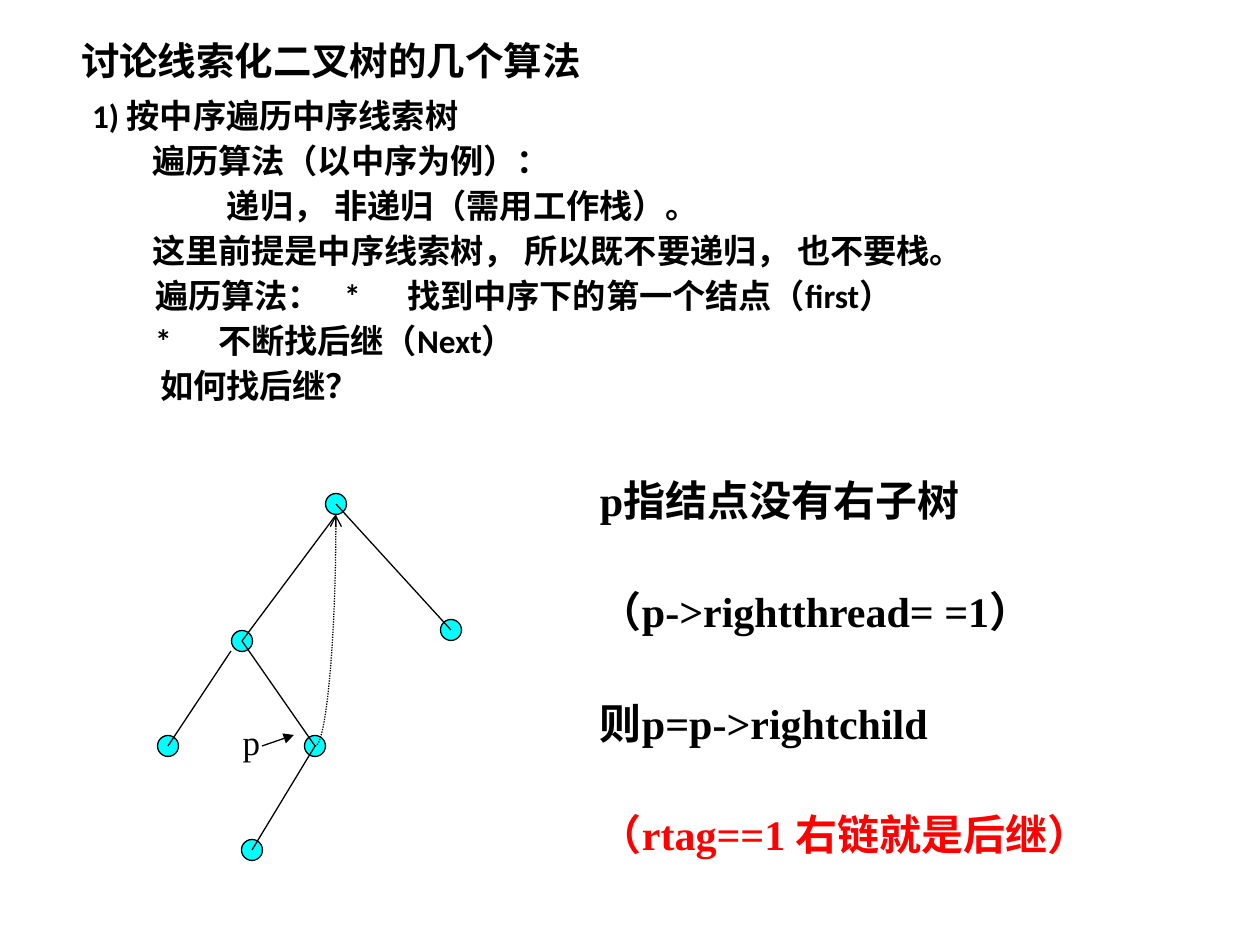
import lxml.etree
import pptx
import pptx.dml.color
import pptx.enum.dml
import pptx.enum.shapes
import pptx.enum.text
import pptx.oxml.ns
import pptx.util

EMU_PER_PX = 914400 / 126
BLACK, CYAN, RED = "000000", "00FFFF", "FF0000"


def px(value):
    """Turn a length in px into EMU."""
    return pptx.util.Emu(round(value * EMU_PER_PX))


def color(value):
    """Turn a hex string into a colour."""
    return pptx.dml.color.RGBColor.from_string(value)


def add_child(parent, tag, **attributes):
    """Append a DrawingML element to a parent element."""
    child = lxml.etree.SubElement(parent, pptx.oxml.ns.qn(tag))
    for name, value in attributes.items():
        child.set(name, str(value))
    return child


def write(paragraph, text, font="Calibri", size=19, bold=True, fill=BLACK, align="LEFT",
          indent=0, tabs=(), spacing=None, before=0):
    """Write formatted text into a paragraph."""
    paragraph.alignment = getattr(pptx.enum.text.PP_ALIGN, align)
    paragraph.space_before = pptx.util.Pt(before)
    if spacing:
        paragraph.line_spacing = pptx.util.Pt(spacing)
    properties = paragraph._p.get_or_add_pPr()
    properties.set("marL", str(px(indent)))
    properties.set("indent", "0")
    if tabs:
        tab_list = add_child(properties, "a:tabLst")
        for position in tabs:
            add_child(tab_list, "a:tab", pos=px(position), algn="l")
    run = paragraph.add_run()
    run.text = text
    run.font.name = font
    run.font.size = pptx.util.Pt(size)
    run.font.bold = bold
    run.font.color.rgb = color(fill)


class SlideBuilder:
    """Hold the drawing style and the current slide."""

    def __init__(self, slide, line_color=BLACK, line_width=0.75, node_size=21):
        """Keep the slide and its style."""
        self.slide = slide
        self.shapes = slide.shapes
        self.line_color = line_color
        self.line_width = line_width
        self.node_size = node_size

    def frame(self, shape, anchor="TOP", wrap=True):
        """Prepare a text frame without insets."""
        frame = shape.text_frame
        frame.margin_left = frame.margin_right = frame.margin_top = frame.margin_bottom = 0
        frame.word_wrap = wrap
        frame.auto_size = pptx.enum.text.MSO_AUTO_SIZE.NONE
        frame.vertical_anchor = getattr(pptx.enum.text.MSO_ANCHOR, anchor)
        return frame

    def title(self, text, left, top, width, height):
        """Place and fill the title."""
        shape = self.shapes.title
        shape.left, shape.top, shape.width, shape.height = map(px, (left, top, width, height))
        write(self.frame(shape, "MIDDLE").paragraphs[0], text, size=22)

    def text(self, lines, left, top, width, height, anchor="TOP", wrap=True, before=0, **style):
        """Add a text box from pairs of text and format."""
        shape = self.shapes.add_textbox(*map(px, (left, top, width, height)))
        frame = self.frame(shape, anchor, wrap)
        for index, (text, extra) in enumerate(lines):
            paragraph = frame.add_paragraph() if index else frame.paragraphs[0]
            write(paragraph, text, before=before if index else 0, **{**style, **extra})

    def outline(self, shape, arrow=None):
        """Apply the line style and an optional arrowhead."""
        shape.line.color.rgb = color(self.line_color)
        shape.line.width = pptx.util.Pt(self.line_width)
        if arrow:
            add_child(shape.element.spPr.find(pptx.oxml.ns.qn("a:ln")), "a:tailEnd", type=arrow)

    def node(self, x, y):
        """Add a tree node centred on a point."""
        size = self.node_size
        shape = self.shapes.add_shape(pptx.enum.shapes.MSO_SHAPE.OVAL,
                                      px(x - size / 2), px(y - size / 2), px(size), px(size))
        shape.shadow.inherit = False
        shape.fill.solid()
        shape.fill.fore_color.rgb = color(CYAN)
        self.outline(shape)

    def line(self, start, end, arrow=None):
        """Add a straight line between two points."""
        connector = self.shapes.add_connector(pptx.enum.shapes.MSO_CONNECTOR.STRAIGHT,
                                              *map(px, (*start, *end)))
        self.outline(connector, arrow)
        add_child(connector.element.spPr, "a:effectLst")

    def thread(self, controls, steps=24):
        """Add a dotted cubic curve ending in an arrow."""
        points = []
        for step in range(steps + 1):
            t = step / steps
            weights = ((1 - t) ** 3, 3 * t * (1 - t) ** 2, 3 * t ** 2 * (1 - t), t ** 3)
            points.append(tuple(px(sum(w * value for w, value in zip(weights, axis)))
                                for axis in zip(*controls)))
        builder = self.shapes.build_freeform(*points[0])
        builder.add_line_segments(points[1:], close=False)
        shape = builder.convert_to_shape()
        shape.shadow.inherit = False
        shape.fill.background()
        shape.line.dash_style = pptx.enum.dml.MSO_LINE.ROUND_DOT
        self.outline(shape, "arrow")


def draw_tree(builder):
    """Draw the threaded tree and its pointer."""
    root, left, right = (336, 504), (242, 641), (451, 630)
    left_leaf, current, bottom = (168, 746), (315, 746), (252, 850)
    root_foot = (336, 515)
    for center in (root, left, left_leaf, current, bottom, right):
        builder.node(*center)
    for start, end in ((root_foot, left), ((231, 651), left_leaf), (root, right),
                       (left, current), (current, bottom)):
        builder.line(start, end)
    builder.thread((current, (326, 746), (336, 643), root_foot))
    builder.line((262, 746), (294, 735), "triangle")
    builder.text([("p", {})], 228, 714, 47, 55, anchor="MIDDLE", wrap=False,
                 font="Times New Roman", size=20, bold=False, align="CENTER")


def main():
    """Build and save the slide."""
    presentation = pptx.Presentation()
    presentation.slide_width, presentation.slide_height = px(1260), px(945)
    builder = SlideBuilder(presentation.slides.add_slide(presentation.slide_layouts[5]))
    builder.title("讨论线索化二叉树的几个算法", 81, 37, 1100, 46)
    builder.text([
        ("1) 按中序遍历中序线索树", {}),
        ("遍历算法（以中序为例）：", {"indent": 60}),
        ("递归， 非递归（需用工作栈）。", {"indent": 135}),
        ("这里前提是中序线索树， 所以既不要递归， 也不要栈。", {"indent": 60}),
        ("\t遍历算法：\t*\t找到中序下的第一个结点（first）", {"tabs": (60, 244, 281)}),
        ("\t*\t不断找后继（Next）", {"tabs": (219, 256)}),
        ("如何找后继？", {"indent": 68}),
    ], 92, 90, 1100, 320, spacing=25.7)
    draw_tree(builder)
    builder.text([
        ("p指结点没有右子树", {}),
        ("（p->rightthread= =1）", {}),
        ("则p=p->rightchild", {}),
        ("（rtag==1 右链就是后继）", {"fill": RED}),
    ], 600, 472, 595, 390, font="Times New Roman", size=24, spacing=30, before=33.8)
    presentation.save("out.pptx")


if __name__ == "__main__":
    main()
